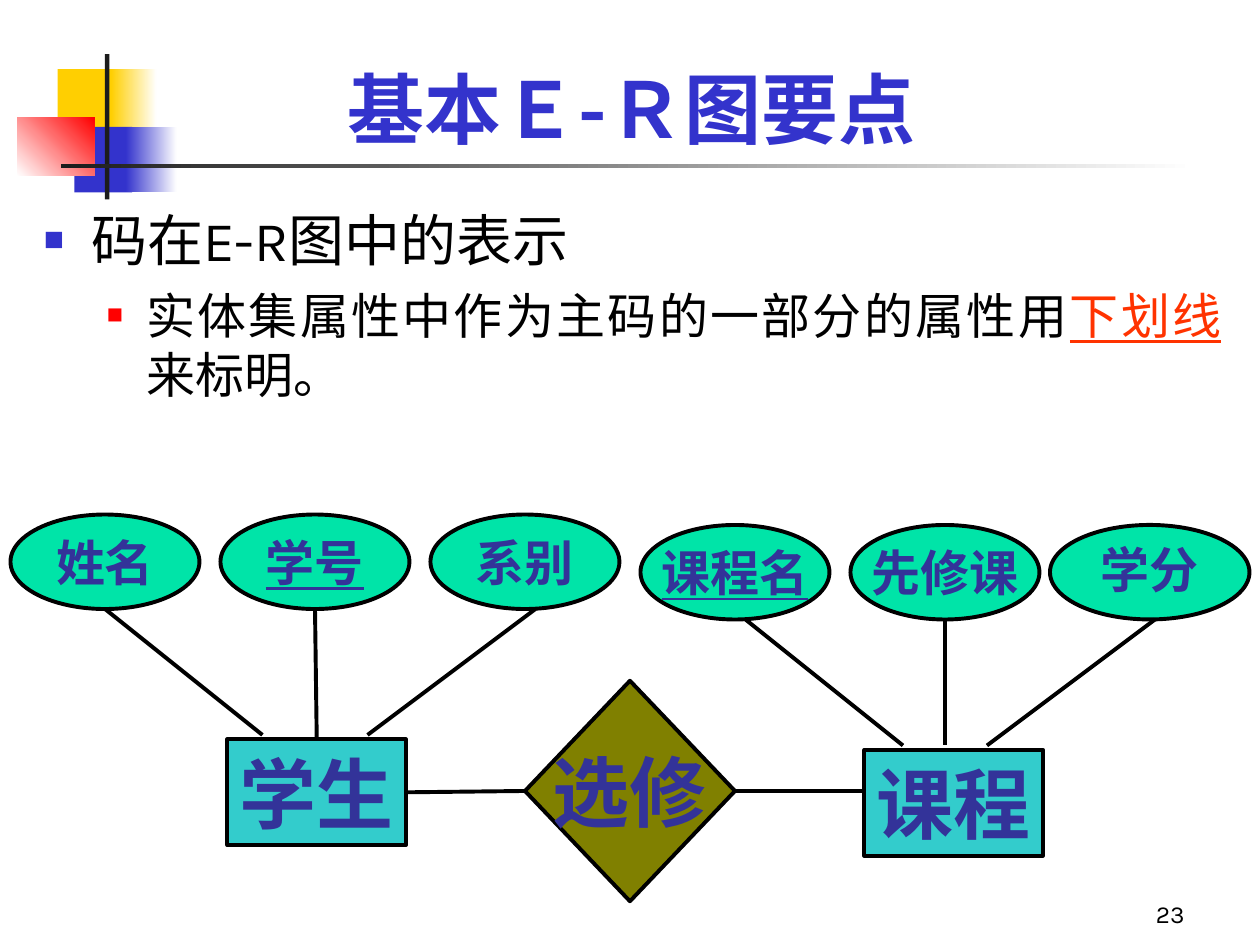
from lxml.etree import SubElement
from pptx import Presentation
from pptx.dml.color import RGBColor
from pptx.enum.shapes import MSO_CONNECTOR, MSO_SHAPE as Shape
from pptx.enum.text import MSO_ANCHOR as Anchor, PP_ALIGN as Align
from pptx.oxml.ns import qn
from pptx.util import Pt

BLACK = RGBColor(0x00, 0x00, 0x00)
WHITE = RGBColor(0xFF, 0xFF, 0xFF)
CHARCOAL = RGBColor(0x1C, 0x1C, 0x1C)
YELLOW = RGBColor(0xFF, 0xCF, 0x01)
BLUE = RGBColor(0x33, 0x33, 0xCC)
RED = RGBColor(0xFF, 0x00, 0x00)
ORANGE = RGBColor(0xFF, 0x33, 0x00)
INDIGO = RGBColor(0x33, 0x33, 0x99)
TURQUOISE = RGBColor(0x33, 0xCC, 0xCC)
OLIVE = RGBColor(0x80, 0x80, 0x00)
GREEN = RGBColor(0x00, 0xE4, 0xA8)
CJK_FONT = "Noto Sans CJK SC"


def add_run(paragraph, text, color, **formats):
    """Add a run; formats are attributes of its font."""
    run = paragraph.add_run()
    run.text = text
    run.font.color.rgb = color
    for name, value in formats.items():
        setattr(run.font, name, value)
    SubElement(run.font._element, qn("a:ea"), typeface=CJK_FONT)


def add_shape(kind, box, fill):
    shape = slide.shapes.add_shape(kind, *map(Pt, box))
    shape.shadow.inherit = False
    shape.line.fill.background()
    if isinstance(fill, RGBColor):
        shape.fill.solid()
        shape.fill.fore_color.rgb = fill
    else:
        *colors, angle = fill
        shape.fill.gradient()
        shape.fill.gradient_angle = angle
        for stop, color, position in zip(shape.fill.gradient_stops, colors, (0, 1)):
            stop.color.rgb = color
            stop.position = position
    return shape


presentation = Presentation()
presentation.slide_width, presentation.slide_height = Pt(720), Pt(540)
slide = presentation.slides.add_slide(presentation.slide_layouts[6])

# Corner ornament and title rule
for box, fill in [
    ((33, 39.5, 35, 37.5), YELLOW),
    ((63.5, 39.5, 26, 37.5), (YELLOW, WHITE, 0)),
    ((42.5, 72.5, 33, 37.5), BLUE),
    ((72, 72.5, 29, 37.5), (BLUE, WHITE, 0)),
    ((10, 67, 44, 33.5), (WHITE, RED, 45)),
    ((60, 31, 2.5, 83), CHARCOAL),
    ((35, 93.5, 648, 2.5), (CHARCOAL, WHITE, 0)),
]:
    add_shape(Shape.RECTANGLE, box, fill)

# Page number and title
for text, box, align, color, formats in [
    ("23", (534, 498, 150, 36), Align.RIGHT, BLACK, {"name": "Karla", "size": Pt(14)}),
    ("基本Ｅ-Ｒ图要点", (54, 18, 613.5, 73.5), Align.CENTER, BLUE,
     {"name": CJK_FONT, "size": Pt(44), "bold": True}),
]:
    frame = slide.shapes.add_textbox(*map(Pt, box)).text_frame
    frame.word_wrap = True
    frame.vertical_anchor = Anchor.BOTTOM
    frame.paragraphs[0].alignment = align
    add_run(frame.paragraphs[0], text, color, **formats)

# Bulleted body
body = slide.shapes.add_textbox(Pt(18), Pt(114), Pt(687), Pt(408)).text_frame
body.word_wrap = True
for level, (size, margin, indent, space, bullet_color, bullet_size, runs) in enumerate([
    (32, 27, -27, 0, BLUE, 60, [("码在E-R图中的表示", BLACK, False)]),
    (28, 58.5, -22.5, 7, RED, 55, [
        ("实体集属性中作为主码的一部分的属性用", BLACK, False),
        ("下划线", ORANGE, True),
        ("来标明。", BLACK, False),
    ]),
]):
    paragraph = body.add_paragraph() if level else body.paragraphs[0]
    properties = paragraph._p.get_or_add_pPr()
    properties.set("marL", str(Pt(margin)))
    properties.set("indent", str(Pt(indent)))
    bullet_fill = SubElement(properties, qn("a:buClr"))
    SubElement(bullet_fill, qn("a:srgbClr"), val=str(bullet_color))
    SubElement(properties, qn("a:buSzPct"), val=str(bullet_size * 1000))
    SubElement(properties, qn("a:buFont"), typeface="Times New Roman")
    SubElement(properties, qn("a:buChar"), char="■")
    paragraph.level = level
    paragraph.alignment = Align.JUSTIFY
    paragraph.space_before = Pt(space)
    for text, color, underline in runs:
        add_run(paragraph, text, color, name="Karla", size=Pt(size), underline=underline)

# Entities, relationship and attributes; key attributes are underlined
nodes = {}
for text, kind, box, fill, size, is_key in [
    ("学生", Shape.RECTANGLE, (130, 422.5, 102, 60.5), TURQUOISE, 44, False),
    ("课程", Shape.RECTANGLE, (494, 428.5, 102, 60.5), TURQUOISE, 44, False),
    ("选修", Shape.DIAMOND, (300, 389, 120, 126), OLIVE, 44, False),
    ("姓名", Shape.OVAL, (6, 294, 108, 54), GREEN, 28, False),
    ("学号", Shape.OVAL, (126, 294, 108, 54), GREEN, 28, True),
    ("系别", Shape.OVAL, (246, 294, 108, 54), GREEN, 28, False),
    ("课程名", Shape.OVAL, (366, 300, 108, 54), GREEN, 28, True),
    ("先修课", Shape.OVAL, (486, 300, 108, 54), GREEN, 28, False),
    ("学分", Shape.OVAL, (600, 300, 114, 54), GREEN, 28, False),
]:
    node = nodes[text] = add_shape(kind, box, fill)
    node.line.color.rgb = BLACK
    node.line.width = Pt(2.25)
    frame = node.text_frame
    frame.word_wrap = False
    frame.vertical_anchor = Anchor.MIDDLE
    frame.paragraphs[0].alignment = Align.CENTER
    add_run(frame.paragraphs[0], text, INDIGO, name="Times New Roman", size=Pt(size),
            bold=True, underline=is_key)
nodes["学分"].text_frame.paragraphs[0].line_spacing = 0.9

# Lines: start, end, then the node and side joined at each end
for start, end, begin_join, end_join in [
    ((60, 348), (150, 420), None, None),
    ((180, 348), (181, 422.5), None, ("学生", 0)),
    ((306, 348), (210, 420), None, None),
    ((426, 354), (516, 426), None, None),
    ((540, 354), (540, 426), None, None),
    ((660, 354), (564, 426), None, None),
    ((232, 452), (300, 452), ("学生", 3), ("选修", 1)),
    ((420, 452), (494, 452), ("选修", 3), None),
]:
    line = slide.shapes.add_connector(MSO_CONNECTOR.STRAIGHT, *map(Pt, start + end))
    line.line.color.rgb = BLACK
    line.line.width = Pt(2.25)
    SubElement(line._element.spPr, qn("a:effectLst"))
    for connect, join in ((line.begin_connect, begin_join), (line.end_connect, end_join)):
        if join:
            name, side = join
            connect(nodes[name], side)

presentation.save("out.pptx")
